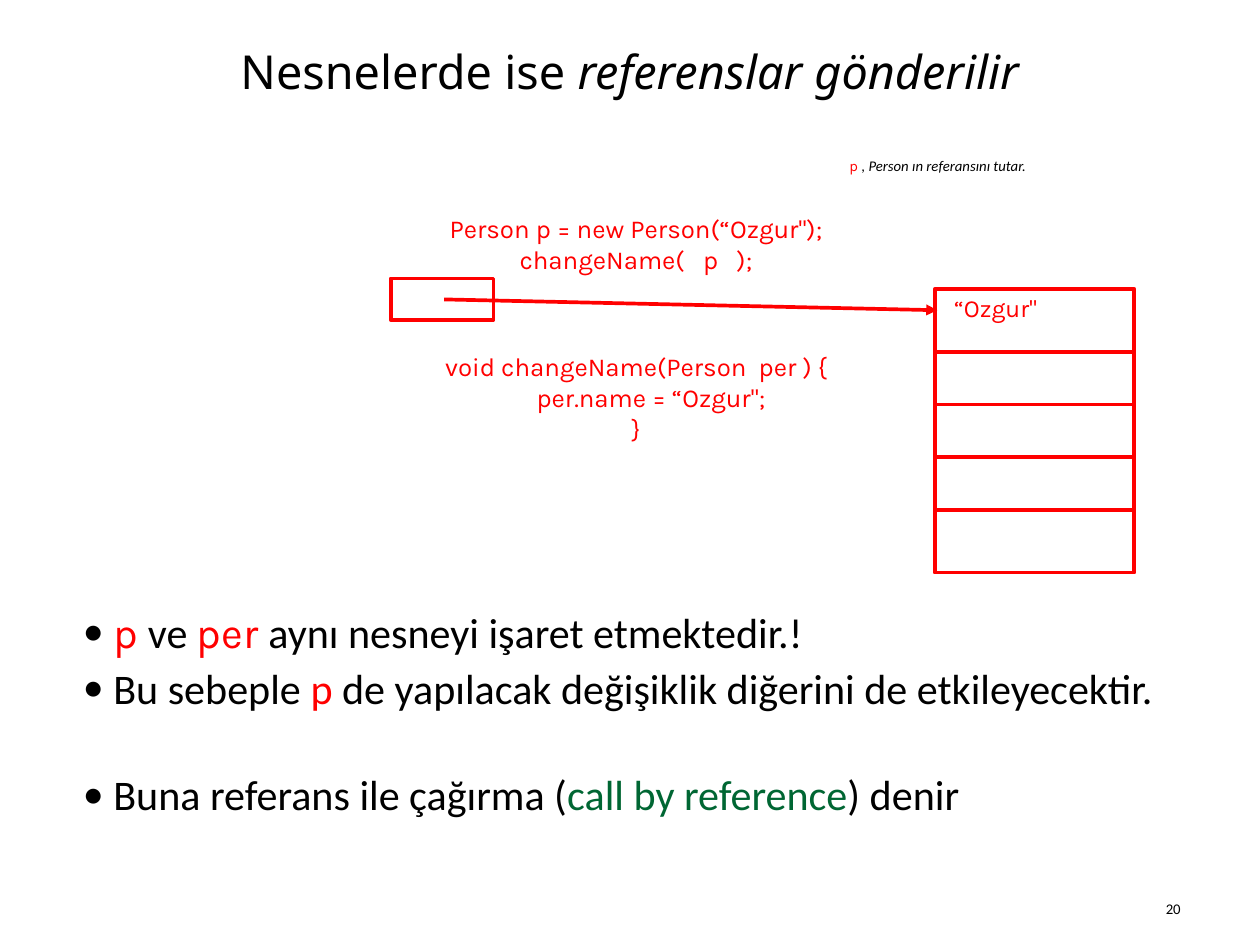
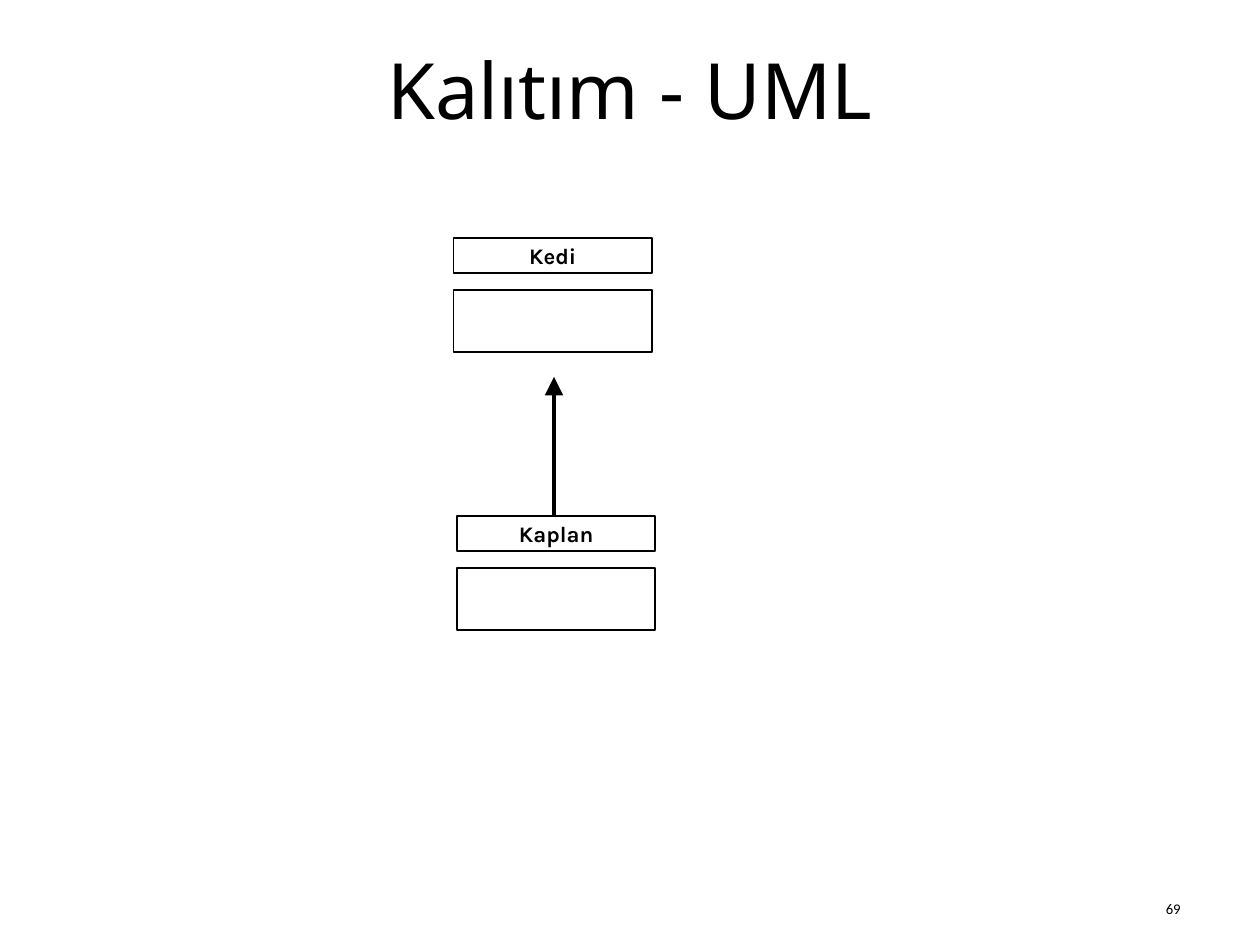
from lxml.etree import SubElement
from pptx import Presentation
from pptx.dml.color import RGBColor
from pptx.enum.shapes import MSO_CONNECTOR, MSO_SHAPE
from pptx.enum.text import MSO_ANCHOR, PP_ALIGN
from pptx.oxml.ns import qn
from pptx.util import Cm, Pt

# Shared look
BLACK, RED, GREEN = "000000", "FF0000", "006633"
HEAD, BODY, CODE = "Noto Sans", "Calibri", "Karla"
WIDE, HIGH = 36.12, 27.08


def paint(hue):
    return RGBColor.from_string(hue)


# Text helpers
def style(run, font, size, hue=BLACK, bold=False, italic=False):
    face = run.font
    face.name, face.size = font, Pt(size)
    face.bold, face.italic = bold, italic
    face.color.rgb = paint(hue)


def fill(para, parts, align=PP_ALIGN.LEFT):
    """Each part is a wording followed by the arguments of style."""
    para.alignment = align
    for words, *look in parts:
        run = para.add_run()
        run.text = words
        style(run, *look)


def text(slide, box, lines, align=PP_ALIGN.LEFT, anchor=MSO_ANCHOR.TOP):
    frame = slide.shapes.add_textbox(*map(Cm, box)).text_frame
    frame.word_wrap = True
    frame.vertical_anchor = anchor
    for i, parts in enumerate(lines):
        para = frame.add_paragraph() if i else frame.paragraphs[0]
        fill(para, parts, align)
    return frame


def indent(para, left, first=0):
    props = para._p.get_or_add_pPr()
    props.set("marL", str(Cm(left)))
    props.set("indent", str(Cm(first)))
    return props


def bullet(para, hang):
    props = indent(para, hang, -hang)
    tint = SubElement(props, qn("a:buClr"))
    SubElement(tint, qn("a:srgbClr"), val=BLACK)
    SubElement(props, qn("a:buFont"), typeface=BODY)
    SubElement(props, qn("a:buChar"), char="•")


# Shape helpers
def rect(slide, box, hue, width):
    shape = slide.shapes.add_shape(MSO_SHAPE.RECTANGLE, *map(Cm, box))
    shape.shadow.inherit = False
    shape.fill.background()
    shape.line.color.rgb = paint(hue)
    shape.line.width = Pt(width)
    return shape


def line(slide, ends, hue, tip=None):
    link = slide.shapes.add_connector(MSO_CONNECTOR.STRAIGHT, *map(Cm, ends))
    link.line.color.rgb = paint(hue)
    link.line.width = Pt(3)
    props = link._element.spPr
    if tip:
        SubElement(props.find(qn("a:ln")), qn("a:tailEnd"),
                   type="triangle", w=tip, len=tip)
    SubElement(props, qn("a:effectLst"))


# Title and page number
def start(deck, title, height, page):
    slide = deck.slides.add_slide(deck.slide_layouts[6])
    text(slide, (1.8, 1.09, 32.51, height), [title], PP_ALIGN.CENTER)
    text(slide, (33.17, 25.5, 1.14, 1.07), [[(page, BODY, 12)]],
         anchor=MSO_ANCHOR.MIDDLE)
    return slide


# Code listing
def code(slide, box):
    rows = ('Person p = new Person(“Ozgur");', "changeName(   p   );",
            "void changeName(Person  per ) {", 'per.name = “Ozgur";', "}")
    frame = text(slide, box, [[(row, CODE, 21, RED)] for row in rows],
                 PP_ALIGN.CENTER)
    frame.paragraphs[2].space_before = Pt(62)
    indent(frame.paragraphs[3], 0.86)


# Object in memory and the reference to it
def memory(slide, left, top):
    wide, first, step = 5.72, 1.8, 1.51
    rect(slide, (left, top, wide, 8.13), RED, 3)
    text(slide, (left + 0.3, top, 4.83, 1.12),
         [[('“Ozgur"', CODE, 20, RED)]])
    for i in range(4):
        y = top + first + i * step
        line(slide, (left, y, left + wide, y), RED)
    rect(slide, (left - 15.6, top - 0.3, 2.95, 1.19), RED, 3)
    line(slide, (left - 14.07, top + 0.3, left + 0.07, top + 0.61), RED, "med")
    text(slide, (left - 2.7, top - 3.91, 10.59, 0.76),
         [[("p ", CODE, 12, RED),
           (", Person ın referansını tutar.", BODY, 12, BLACK, False, True)]])


# Bulleted remarks
def remarks(slide, left, top, wide):
    size = 34.2
    notes = (
        (0, [("p ", CODE, size, RED), ("ve ", BODY, size),
             ("per ", CODE, size, RED),
             ("aynı nesneyi işaret etmektedir.!", BODY, size)]),
        (1.6, [("Bu sebeple ", BODY, size), ("p", BODY, size, RED),
               (" de yapılacak değişiklik diğerini de etkileyecektir.",
                BODY, size)]),
        (4.65, [("Buna referans ile çağırma (", BODY, size),
                ("call by reference", BODY, size, GREEN),
                (") denir", BODY, size)]),
    )
    for drop, parts in notes:
        frame = text(slide, (left, top + drop, wide, 1.7), [parts])
        bullet(frame.paragraphs[0], 0.87)


# UML class: name above an empty body
def entity(slide, left, top, name):
    wide = 5.69
    shape = rect(slide, (left, top, wide, 1.02), BLACK, 1.5)
    shape.text_frame.vertical_anchor = MSO_ANCHOR.MIDDLE
    fill(shape.text_frame.paragraphs[0],
         [(name, CODE, 18, BLACK, True)], PP_ALIGN.CENTER)
    rect(slide, (left, top + 1.5, wide, 1.78), BLACK, 1.5)


def main():
    deck = Presentation()
    deck.slide_width, deck.slide_height = Cm(WIDE), Cm(HIGH)

    # Passing references
    title = [("Nesnelerde ise ", HEAD, 38),
             ("referenslar gönderilir", HEAD, 38, BLACK, False, True)]
    slide = start(deck, title, 4.95, "20")
    code(slide, (2.92, 5.97, 30.63, 7))
    remarks(slide, 2.13, 17.25, 31.5)
    memory(slide, 26.8, 8.28)

    # Inheritance
    slide = start(deck, [("Kalıtım - UML", HEAD, 63)], 4.17, "69")
    entity(slide, 13, 6.81, "Kedi")
    entity(slide, 13.1, 14.78, "Kaplan")
    line(slide, (15.88, 14.76, 15.88, 10.8), BLACK, "lg")

    deck.save("out.pptx")


if __name__ == "__main__":
    main()
